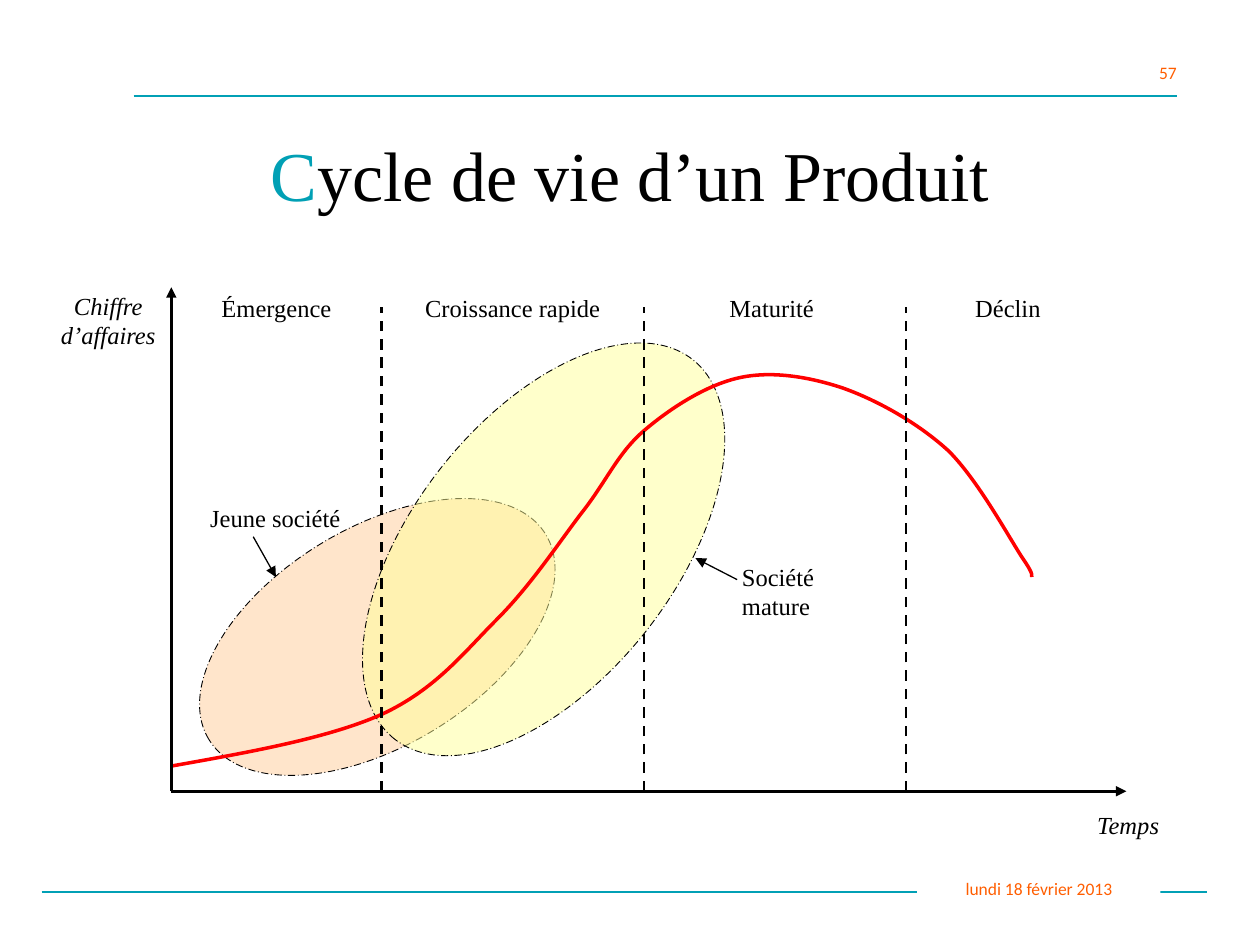
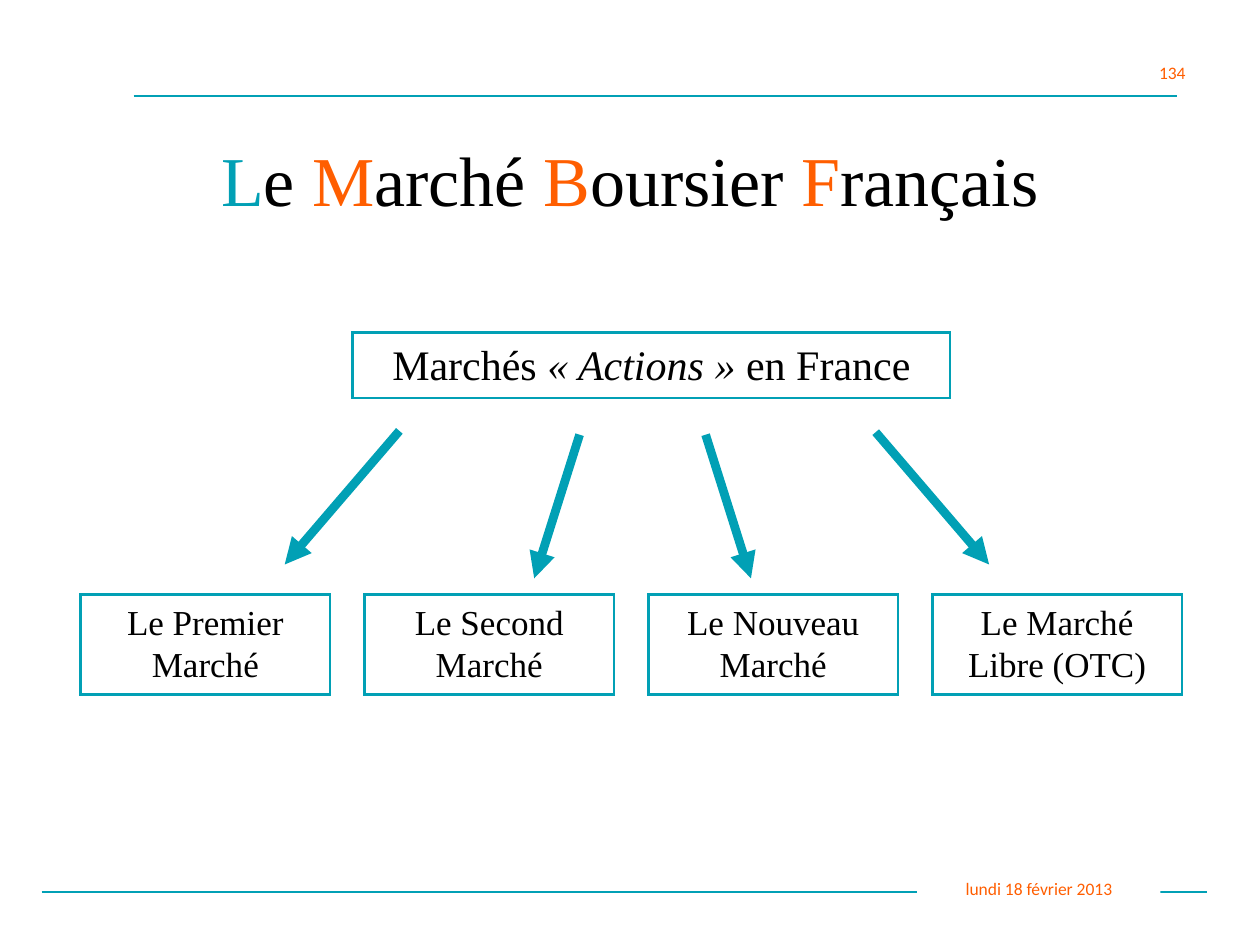
import lxml.etree
import pptx
import pptx.dml.color
import pptx.enum.dml
import pptx.enum.shapes
import pptx.enum.text
import pptx.oxml.ns
import pptx.util

Inches, Pt = pptx.util.Inches, pptx.util.Pt
qn = pptx.oxml.ns.qn
ALIGN = pptx.enum.text.PP_ALIGN
ANCHOR = pptx.enum.text.MSO_ANCHOR
FIT = pptx.enum.text.MSO_AUTO_SIZE
SHAPE = pptx.enum.shapes.MSO_SHAPE
DASH = pptx.enum.dml.MSO_LINE

THEME = {
    "teal": "01A0B5", "orange": "FF5E00", "black": "000000", "white": "FFFFFF",
    "red": "FF0000", "peach": "FFCC99", "yellow": "FFFF99",
    "title": {"name": "Times New Roman", "size": Pt(40)},
    "heading": {"name": "Times New Roman", "size": Pt(24)},
    "node": {"name": "Times New Roman", "size": Pt(20)},
    "label": {"name": "Times New Roman", "size": Pt(14)},
    "axis": {"name": "Times New Roman", "size": Pt(14), "italic": True},
    "small": {"name": "Calibri", "size": Pt(10)},
}

# Shared content
DATE = "lundi 18 février 2013"
RULES = [((0.33, 7.08), (9.58, 7.08)), ((1.06, 0.76), (9.34, 0.76))]
DATE_AREA = (7.28, 6.92, 1.93, 0.27)
NUMBER_AREA = (9.1, 0.44, 0.45, 0.27)

# Product life cycle content; a span is (text, colour, extra font values)
CYCLE_TITLE = [("C", "teal"), ("ycle de vie d’un Produit", "black")]
ORIGIN = (1.36, 6.28)
AXIS_ENDS = [(1.36, 2.28), (8.94, 6.28)]
PHASES = [("Émergence", 1.1, ALIGN.CENTER), ("Croissance rapide", 1.67, ALIGN.CENTER),
          ("Maturité", 0.92, ALIGN.LEFT), ("Déclin", 0.76, ALIGN.CENTER)]
PHASE_BOUNDS = [1.36, 3.03, 5.11, 7.19, 8.81]
COMPANIES = [  # area, rotation, fill
    ((1.43, 4.19, 3.13, 1.73), 328.7, "peach"),
    ((2.4, 3.32, 3.83, 2.08), 308.1, "yellow"),
]
CALLOUTS = [  # text, area, arrow start, arrow end
    ("Société mature", (5.79, 4.41, 1.36, 0.33), (5.85, 4.6), (5.52, 4.43)),
    ("Jeune société", (1.57, 3.94, 1.24, 0.33), (2.01, 4.26), (2.19, 4.58)),
]
SALES_START = (1.36, 6.08)
SALES_CURVE = [  # two control points and an end point per arc
    ((1.98, 5.97), (2.6, 5.86), (3.03, 5.67)),
    ((3.46, 5.47), (3.68, 5.18), (3.94, 4.92)),
    ((4.21, 4.65), (4.42, 4.33), (4.61, 4.08)),
    ((4.81, 3.83), (4.9, 3.6), (5.11, 3.42)),
    ((5.32, 3.24), (5.6, 3.06), (5.86, 3.0)),
    ((6.12, 2.94), (6.42, 2.99), (6.69, 3.08)),
    ((6.97, 3.18), (7.29, 3.36), (7.53, 3.58)),
    ((7.76, 3.81), (8.0, 4.25), (8.11, 4.42)),
    ((8.22, 4.58), (8.18, 4.56), (8.19, 4.58)),
]

# Stock market content
MARKET_TITLE = [("L", "teal"), ("e ", "black"), ("M", "orange"), ("arché ", "black"),
                ("B", "orange"), ("oursier ", "black"), ("F", "orange"),
                ("rançais", "black")]
MARKET_ROOT = [("Marchés ", "black"), ("« Actions »", "black", {"italic": True}),
               (" en France", "black")]
MARKETS = ["Le Premier Marché", "Le Second Marché",
           "Le Nouveau Marché", "Le Marché Libre (OTC)"]
MARKET_ARROWS = [((3.17, 3.42), (2.26, 4.48)), ((4.6, 3.45), (4.24, 4.59)),
                 ((5.6, 3.45), (5.96, 4.59)), ((6.95, 3.43), (7.85, 4.48))]
ROW_LEFT, ROW_RIGHT, ROW_TOP = 0.64, 9.38, 4.72
NODE_WIDTH, NODE_HEIGHT = 1.98, 0.79


def colour(name):
    return pptx.dml.color.RGBColor.from_string(THEME[name])


def apply(target, values):
    for name, value in values.items():
        setattr(target, name, value)


def style_line(line, name, width, dash=None):
    line.color.rgb = colour(name)
    apply(line, {"width": Pt(width), "dash_style": dash})


def write(box, spans, style, align=ALIGN.CENTER, anchor=ANCHOR.TOP, wrap=True,
          fit=FIT.SHAPE_TO_FIT_TEXT):
    apply(box.text_frame, {"word_wrap": wrap, "vertical_anchor": anchor,
                           "auto_size": fit})
    para = box.text_frame.paragraphs[0]
    para.alignment = align
    for text, name, *extra in spans:
        span = para.add_run()
        span.text = text
        for values in (THEME[style], *extra):
            apply(span.font, values)
        span.font.color.rgb = colour(name)


def add_text(page, area, spans, style, **layout):
    box = page.shapes.add_textbox(*map(Inches, area))
    write(box, spans, style, **layout)


def add_box(page, kind, area, fill=None):
    box = page.shapes.add_shape(kind, *map(Inches, area))
    box.shadow.inherit = False
    if fill:
        box.fill.solid()
        box.fill.fore_color.rgb = colour(fill)
    else:
        box.fill.background()
    return box


def add_line(page, start, end, name, width, dash=None, arrow=False):
    line = page.shapes.add_connector(
        pptx.enum.shapes.MSO_CONNECTOR.STRAIGHT, *map(Inches, start + end))
    style_line(line.line, name, width, dash)
    if arrow:
        lxml.etree.SubElement(line.line._get_or_add_ln(), qn("a:tailEnd"),
                              type="triangle")
    lxml.etree.SubElement(line._element.spPr, qn("a:effectLst"))


def add_curve(page, start, arcs):
    builder = page.shapes.build_freeform(*map(Inches, start))
    builder.add_line_segments(
        [(Inches(x), Inches(y)) for arc in arcs for x, y in arc], close=False)
    curve = builder.convert_to_shape()
    # Every three straight segments become one Bézier arc
    outline = curve._element.spPr.find(".//" + qn("a:path"))
    segments = outline.findall(qn("a:lnTo"))
    for first in range(0, len(segments), 3):
        arc = lxml.etree.SubElement(outline, qn("a:cubicBezTo"))
        for segment in segments[first:first + 3]:
            arc.append(segment[0])
            outline.remove(segment)
    curve.shadow.inherit = False
    curve.fill.background()
    return curve


def add_page(deck, number, title, title_top, title_height):
    page = deck.slides.add_slide(deck.slide_layouts[6])
    # Rules, date and page number
    for start, end in RULES:
        add_line(page, start, end, "teal", 1)
    for text, area, align, anchor in (
            (DATE, DATE_AREA, ALIGN.CENTER, ANCHOR.MIDDLE),
            (number, NUMBER_AREA, ALIGN.LEFT, ANCHOR.TOP)):
        box = add_box(page, SHAPE.RECTANGLE, area, "white")
        box.line.fill.background()
        write(box, [(text, "orange")], "small", align=align, anchor=anchor)
    add_text(page, (0.75, title_top, 8.5, title_height), title, "title",
             anchor=ANCHOR.MIDDLE, fit=FIT.NONE)
    return page


def build_cycle(deck):
    page = add_page(deck, "57", CYCLE_TITLE, 0.75, 1.25)

    # Company ellipses, half transparent
    for area, rotation, fill in COMPANIES:
        ellipse = add_box(page, SHAPE.OVAL, area, fill)
        ellipse.rotation = rotation
        style_line(ellipse.line, "black", 0.5, DASH.LONG_DASH_DOT)
        tint = ellipse._element.spPr.find(".//" + qn("a:srgbClr"))
        lxml.etree.SubElement(tint, qn("a:alpha"), val="50000")

    # Sales curve
    sales = add_curve(page, SALES_START, SALES_CURVE)
    style_line(sales.line, "red", 2)

    # Axes
    for end in AXIS_ENDS:
        add_line(page, ORIGIN, end, "black", 1.5, arrow=True)
    add_text(page, (8.61, 6.38, 0.71, 0.33), [("Temps", "black")], "axis",
             align=ALIGN.LEFT, wrap=False)
    add_text(page, (0.36, 2.26, 1, 0.57), [("Chiffre d’affaires", "black")], "axis")

    # Phases, each label box centred between its bounds
    for x in PHASE_BOUNDS[1:-1]:
        add_line(page, (x, ORIGIN[1]), (x, 2.44), "black", 1.5, DASH.DASH)
    for (text, width, align), left, right in zip(PHASES, PHASE_BOUNDS, PHASE_BOUNDS[1:]):
        add_text(page, ((left + right - width) / 2, 2.28, width, 0.33),
                 [(text, "black")], "label", align=align)

    # Callouts
    for text, area, start, end in CALLOUTS:
        add_text(page, area, [(text, "black")], "label", align=ALIGN.LEFT, wrap=False)
        add_line(page, start, end, "black", 0.75, arrow=True)


def build_market(deck):
    page = add_page(deck, "134", MARKET_TITLE, 0.92, 1)

    # Root and an evenly spaced row of markets, with square corners
    pitch = (ROW_RIGHT - ROW_LEFT - NODE_WIDTH) / (len(MARKETS) - 1)
    nodes = [((2.8, 2.64, 4.74, 0.52), MARKET_ROOT, "heading")]
    nodes += [((ROW_LEFT + index * pitch, ROW_TOP, NODE_WIDTH, NODE_HEIGHT),
               [(text, "black")], "node") for index, text in enumerate(MARKETS)]
    for area, spans, style in nodes:
        box = add_box(page, SHAPE.RECTANGLE, area)
        style_line(box.line, "teal", 1.5)
        lxml.etree.SubElement(box.line._get_or_add_ln(), qn("a:miter"), lim="800000")
        write(box, spans, style)

    for start, end in MARKET_ARROWS:
        add_line(page, start, end, "teal", 5, arrow=True)


def main():
    deck = pptx.Presentation()
    apply(deck, {"slide_width": Inches(10), "slide_height": Inches(7.5)})
    build_cycle(deck)
    build_market(deck)
    deck.save("out.pptx")


if __name__ == "__main__":
    main()
